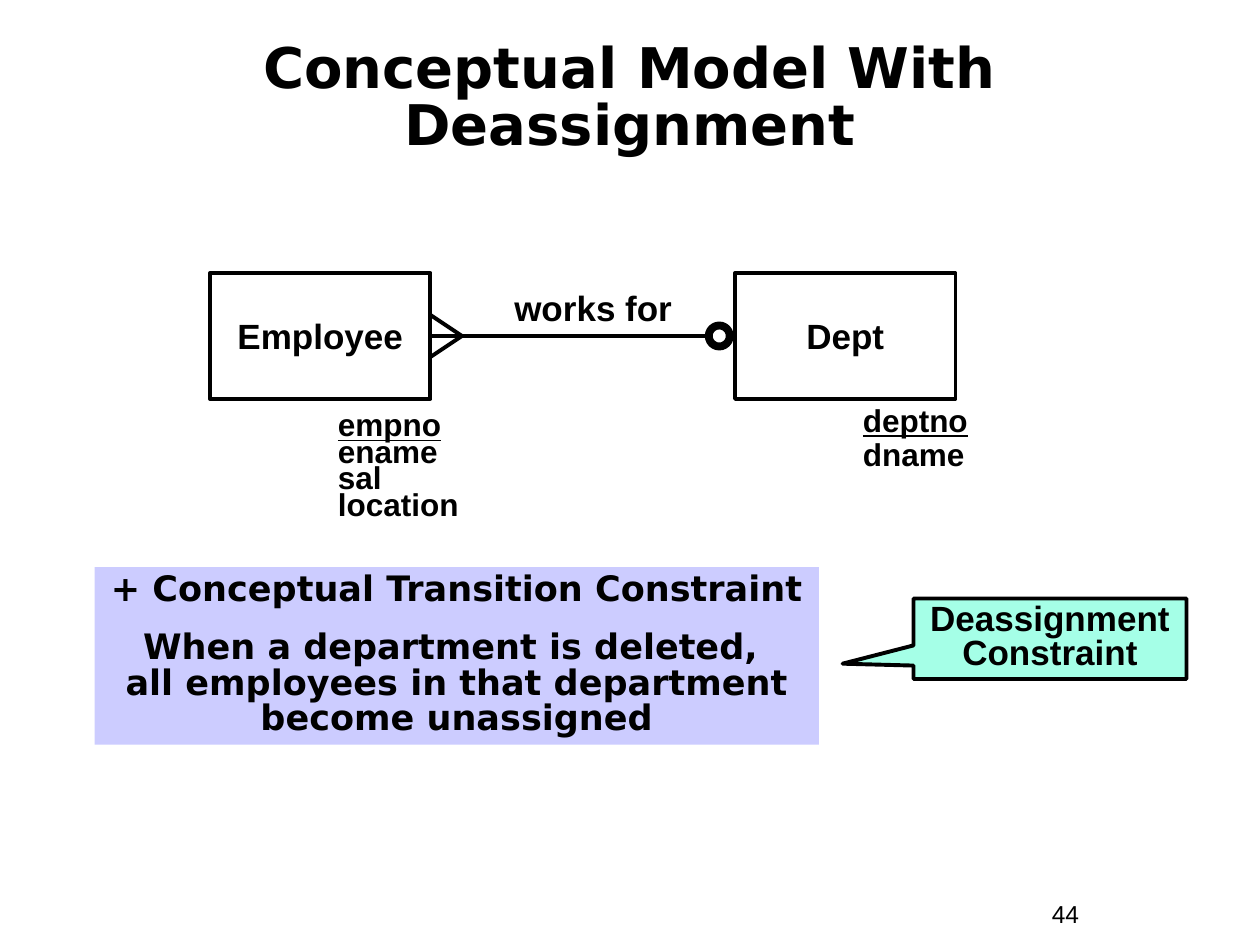
import pptx
import pptx.dml.color
import pptx.enum.shapes
import pptx.enum.text
import pptx.oxml
import pptx.util

Pt = pptx.util.Pt
SHAPES = pptx.enum.shapes.MSO_SHAPE
ALIGN = pptx.enum.text.PP_ALIGN
ANCHOR = pptx.enum.text.MSO_ANCHOR
BLACK = pptx.dml.color.RGBColor(0x00, 0x00, 0x00)
LAVENDER = pptx.dml.color.RGBColor(0xCC, 0xCC, 0xFF)
MINT = pptx.dml.color.RGBColor(0xA5, 0xFF, 0xE7)
SANS = "Arial"
WIDE = "DejaVu Sans"


def write_text(shape, paragraphs, size=20, font=SANS, bold=True, align=ALIGN.CENTER,
               anchor=ANCHOR.TOP, spacing=1.0, gap=0, wrap=True, underline_first=False):
    """Fill a shape with formatted paragraphs."""
    frame = shape.text_frame
    frame.auto_size = pptx.enum.text.MSO_AUTO_SIZE.NONE
    frame.word_wrap = wrap
    frame.vertical_anchor = anchor
    frame.margin_left = frame.margin_right = Pt(7.2)
    frame.margin_top = frame.margin_bottom = Pt(3.6)
    for index, text in enumerate(paragraphs):
        paragraph = frame.add_paragraph() if index else frame.paragraphs[0]
        paragraph.text = text
        paragraph.alignment = align
        paragraph.line_spacing = spacing
        paragraph.space_before = Pt(gap if index else 0)
        for run in paragraph.runs:
            run.font.name = font
            run.font.size = Pt(size)
            run.font.bold = bold
            run.font.underline = underline_first and index == 0
            run.font.color.rgb = BLACK


def add_label(slide, left, top, width, height, paragraphs, **text_format):
    """Add a text box with formatted text."""
    label = slide.shapes.add_textbox(Pt(left), Pt(top), Pt(width), Pt(height))
    write_text(label, paragraphs, **text_format)


def add_box(slide, kind, left, top, width, height, fill=None, line_width=2.25):
    """Add a flat shape with an optional fill and black outline."""
    shape = slide.shapes.add_shape(kind, Pt(left), Pt(top), Pt(width), Pt(height))
    shape.shadow.inherit = False
    if fill is None:
        shape.fill.background()
    else:
        shape.fill.solid()
        shape.fill.fore_color.rgb = fill
    if line_width:
        shape.line.color.rgb = BLACK
        shape.line.width = Pt(line_width)
    else:
        shape.line.fill.background()
    return shape


def add_line(slide, start_x, start_y, end_x, end_y):
    """Add a straight black line."""
    line = slide.shapes.add_connector(
        pptx.enum.shapes.MSO_CONNECTOR.STRAIGHT,
        Pt(start_x), Pt(start_y), Pt(end_x), Pt(end_y))
    line.line.color.rgb = BLACK
    line.line.width = Pt(2.25)
    properties = line._element.spPr
    properties.append(properties.makeelement(pptx.oxml.ns.qn("a:effectLst"), {}))


def add_title(slide, left, top, width, height, text):
    """Place and format the title placeholder."""
    title = slide.shapes.title
    title.left, title.top, title.width, title.height = map(Pt, (left, top, width, height))
    write_text(title, [text], size=32, font=WIDE, anchor=ANCHOR.MIDDLE, spacing=0.85)


def add_entity(slide, left, top, width, height, name, attributes, attribute_drop, spacing):
    """Draw an entity box with its key and attributes below."""
    entity = add_box(slide, SHAPES.RECTANGLE, left, top, width, height)
    write_text(entity, [name], anchor=ANCHOR.MIDDLE, wrap=False)
    add_label(slide, left + 66, top + height + attribute_drop, 84, 46 if spacing > 0.8 else 68,
              attributes, size=18, align=ALIGN.LEFT, spacing=spacing, underline_first=True)


def add_relationship(slide, left, top, width, height, name):
    """Draw a many-to-optional-one relationship between two entities."""
    middle = top + height / 2
    ring = 12
    ring_left = left + width - 15
    add_line(slide, ring_left - 2, middle, left, middle)
    for offset in (-12, 12):
        add_line(slide, left + 18, middle, left, middle + offset)
    add_box(slide, SHAPES.OVAL, ring_left, middle - ring / 2, ring, ring, line_width=4.5)
    add_label(slide, left + 36, middle - 32, 114, 32, [name])


def add_constraint(slide, left, top, width, height):
    """Draw the transition constraint panel and its callout."""
    panel = add_box(slide, SHAPES.RECTANGLE, left, top, width, height, LAVENDER, 0)
    write_text(panel, ["+ Conceptual Transition Constraint",
                       "When a department is deleted, \n"
                       "all employees in that department become unassigned"],
               font=WIDE, spacing=0.85, gap=12.5)
    callout = add_box(slide, SHAPES.RECTANGULAR_CALLOUT,
                      left + width + 54, top + 18, 156, 46, MINT)
    callout.adjustments[0] = -0.76
    callout.adjustments[1] = 0.31
    write_text(callout, ["Deassignment\nConstraint"], spacing=0.8)


def main():
    """Build and save the slide."""
    presentation = pptx.Presentation()
    presentation.slide_width = Pt(720)
    presentation.slide_height = Pt(540)
    slide = presentation.slides.add_slide(presentation.slide_layouts[5])
    add_title(slide, 24, 24, 672, 66, "Conceptual Model With\nDeassignment")
    add_entity(slide, 120, 156, 126, 72, "Employee",
               ["empno", "ename", "sal", "location"], 6, 0.7)
    add_entity(slide, 420, 156, 126, 72, "Dept", ["deptno", "dname"], 0, 0.9)
    add_relationship(slide, 246, 156, 174, 72, "works for")
    add_constraint(slide, 54, 324, 414, 101.5)
    add_label(slide, 594, 510, 66, 24, ["44"], size=14, bold=False, align=ALIGN.LEFT)
    presentation.save("out.pptx")


if __name__ == "__main__":
    main()
